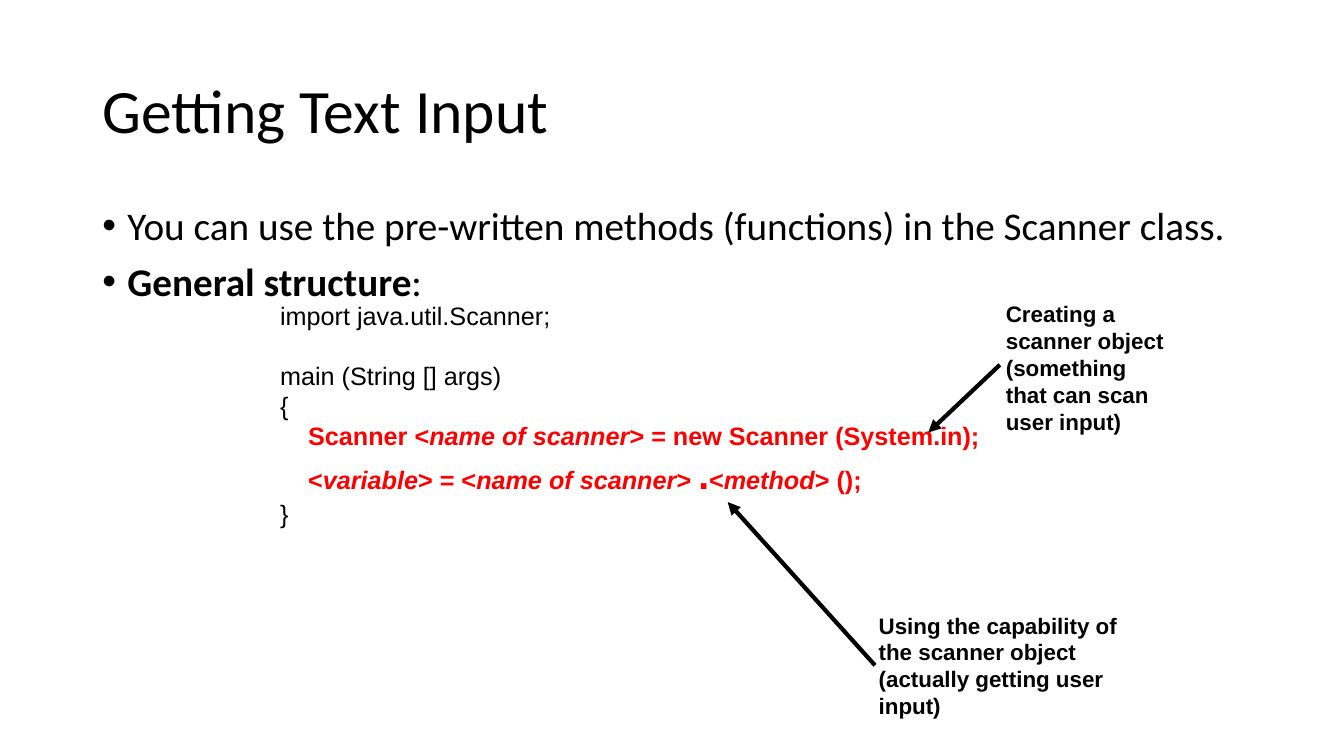
from dataclasses import dataclass

from lxml import etree
from pptx import Presentation
from pptx.dml.color import RGBColor
from pptx.enum.shapes import MSO_CONNECTOR
from pptx.enum.text import MSO_ANCHOR
from pptx.oxml.ns import qn
from pptx.util import Pt

STRAIGHT = MSO_CONNECTOR.STRAIGHT
TOP, MIDDLE = MSO_ANCHOR.TOP, MSO_ANCHOR.MIDDLE


@dataclass(frozen=True)
class Theme:
    ink: RGBColor = RGBColor(0, 0, 0)
    accent: RGBColor = RGBColor(0xFF, 0, 0)
    heading_font: str = "Calibri"
    code_font: str = "Arial"
    title: int = 44
    body: int = 28
    code: int = 18
    note: int = 16
    arrow: int = 3


class SlideBuilder:
    def __init__(self, slide, theme):
        self.s = slide
        self.theme = theme

    def box(self, left, top, width, height, anchor=TOP):
        sp = self.s.shapes.add_textbox(Pt(left), Pt(top), Pt(width), Pt(height))
        tf = sp.text_frame
        tf.word_wrap = True
        tf.vertical_anchor = anchor
        return tf

    def paragraph(self, tf, first, before=0, spacing=None):
        p = tf.paragraphs[0] if first else tf.add_paragraph()
        if not first and before:
            p.space_before = Pt(before)
        if spacing:
            p.line_spacing = spacing
        return p

    def run(self, p, text, font, size, color=None, bold=False, italic=False):
        r = p.add_run()
        r.text = text
        r.font.name = font
        r.font.size = Pt(size)
        r.font.bold = bold
        r.font.italic = italic
        r.font.color.rgb = color or self.theme.ink

    def title(self, text, *place):
        p = self.paragraph(self.box(*place, anchor=MIDDLE), True, spacing=0.9)
        self.run(p, text, self.theme.heading_font, self.theme.title)

    def bullets(self, items, *place):
        tf = self.box(*place)
        for i, runs in enumerate(items):
            p = self.paragraph(tf, i == 0, before=10, spacing=0.9)
            pPr = p._p.get_or_add_pPr()
            pPr.set("marL", str(Pt(18)))
            pPr.set("indent", str(Pt(-18)))
            etree.SubElement(pPr, qn("a:buFont"), typeface="Arial")
            etree.SubElement(pPr, qn("a:buChar"), char="•")
            for text, bold in runs:
                self.run(p, text, self.theme.heading_font, self.theme.body, bold=bold)

    def code(self, lines, *place):
        """Each line is (space before, runs); a run is (text, style)."""
        tf = self.box(*place)
        for i, (before, runs) in enumerate(lines):
            p = self.paragraph(tf, i == 0, before)
            for text, style in runs:
                self.run(p, text, self.theme.code_font,
                         **{"size": self.theme.code, **style})

    def note(self, text, *place):
        p = self.paragraph(self.box(*place), True)
        self.run(p, text, self.theme.code_font, self.theme.note, bold=True)

    def arrow(self, x1, y1, x2, y2):
        line = self.s.shapes.add_connector(STRAIGHT, Pt(x1), Pt(y1), Pt(x2), Pt(y2))
        line.line.color.rgb = self.theme.ink
        line.line.width = Pt(self.theme.arrow)
        etree.SubElement(line.line._get_or_add_ln(), qn("a:tailEnd"), type="triangle")
        etree.SubElement(line._element.spPr, qn("a:effectLst"))


def main():
    prs = Presentation()
    prs.slide_width, prs.slide_height = Pt(960), Pt(540)
    theme = Theme()
    slide = SlideBuilder(prs.slides.add_slide(prs.slide_layouts[6]), theme)

    # Title and bullets
    slide.title("Getting Text Input", 66, 28.75, 828, 104.4)
    slide.bullets([
        [("You can use the pre-written methods (functions) in the Scanner class.", False)],
        [("General structure", True), (":", False)],
    ], 66, 143.75, 828, 342.6)

    # Code outline, with placeholders in italics
    plain = {}
    red = {"color": theme.accent, "bold": True}
    slot = {**red, "italic": True}
    dot = {**red, "size": theme.body}
    slide.code([
        (0, [("import java.util.Scanner;", plain)]),
        (21, [("main (String [] args)", plain)]),
        (0, [("{", plain)]),
        (0, [("    ", plain), ("Scanner <", red), ("name of scanner", slot),
             ("> = new Scanner (System.in);", red)]),
        (0, [("    <", red), ("variable", slot), ("> = <", red),
             ("name of scanner", slot), ("> ", red), (".", dot), ("<", red),
             ("method", slot), ("> ();", red)]),
        (0, [("}", plain)]),
    ], 193, 211, 600, 324.7)

    # Notes with arrows into the code
    slide.note("Creating a scanner object (something that can scan user input)",
               711.4, 211, 128.9, 103.7)
    slide.arrow(714.2, 260.6, 663.1, 308.9)
    slide.note("Using the capability of the scanner object (actually getting user input)",
               620.6, 433.4, 208.8, 84.2)
    slide.arrow(625, 475.2, 519.8, 358.6)

    prs.save("out.pptx")


if __name__ == "__main__":
    main()
